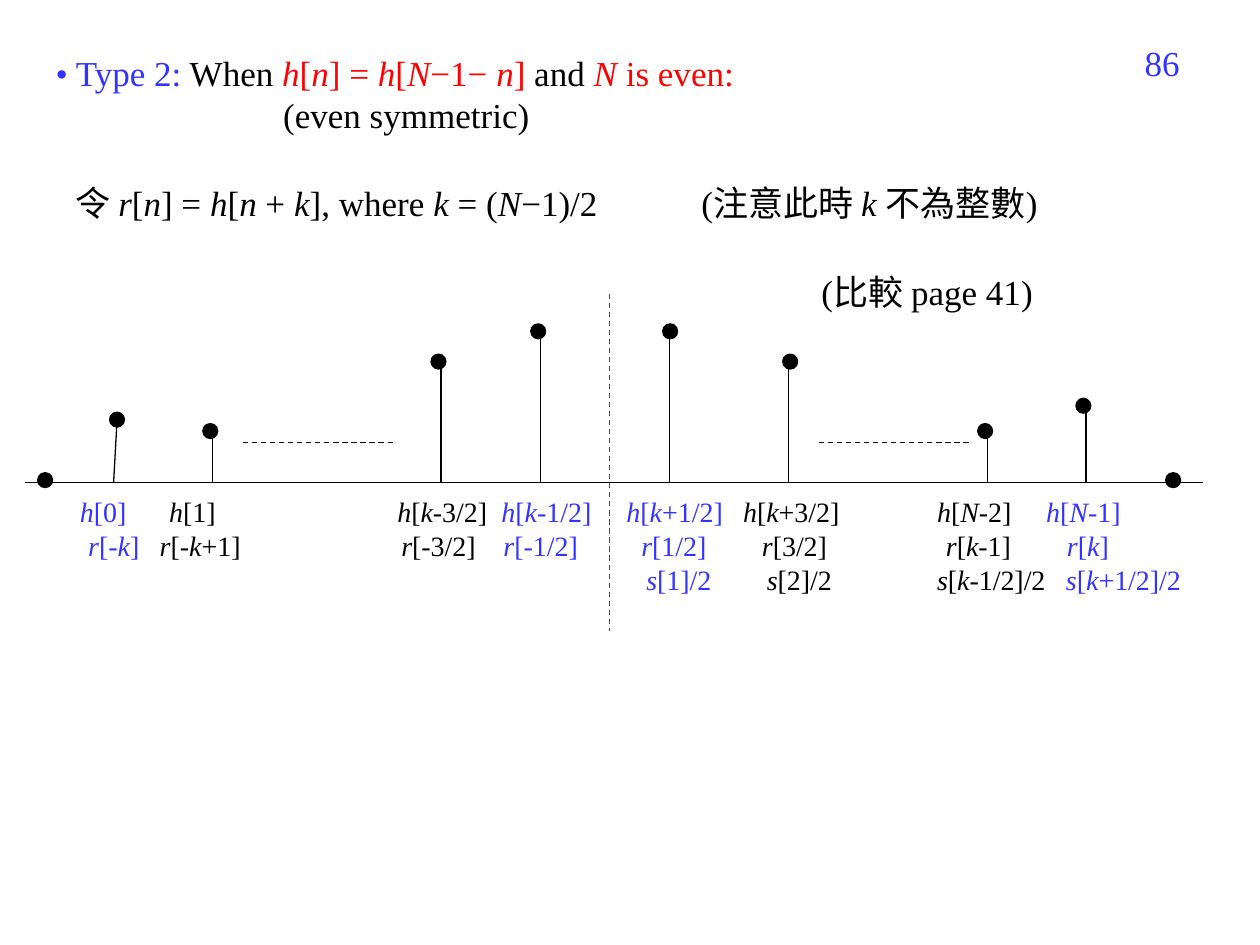
from dataclasses import dataclass

from lxml.etree import SubElement
from pptx import Presentation
from pptx.dml.color import RGBColor
from pptx.enum.dml import MSO_LINE_DASH_STYLE as Dash
from pptx.enum.shapes import MSO_CONNECTOR as Connector
from pptx.enum.shapes import MSO_SHAPE as Shape
from pptx.enum.text import MSO_ANCHOR as Anchor
from pptx.enum.text import PP_ALIGN as Align
from pptx.oxml.ns import qn
from pptx.util import Cm, Pt


@dataclass(frozen=True)
class Theme:
    font: str = "Times New Roman"
    black: RGBColor = RGBColor(0, 0, 0)
    blue: RGBColor = RGBColor(0x33, 0x33, 0xFF)
    red: RGBColor = RGBColor(0xFF, 0, 0)
    body: int = 20
    label: int = 16
    line: float = 0.75


THEME = Theme()


def write(paragraph, text, color=THEME.black, size=THEME.body):
    for position, part in enumerate(text.split("*")):
        if part:
            run = paragraph.add_run()
            run.text = part
            run.font.name = THEME.font
            run.font.size = Pt(size)
            run.font.italic = position % 2 == 1
            run.font.color.rgb = color


def set_indent(paragraph, margin=0, first=0):
    properties = paragraph._p.get_or_add_pPr()
    properties.set("marL", str(Cm(margin)))
    properties.set("indent", str(Cm(first)))


class Board:
    def __init__(self, slide, theme):
        self.slide = slide
        self.theme = theme

    def text(self, left, top, width, height, anchor=Anchor.TOP):
        box = self.slide.shapes.add_textbox(Cm(left), Cm(top), Cm(width), Cm(height))
        box.text_frame.word_wrap = True
        box.text_frame.vertical_anchor = anchor
        return box.text_frame

    def line(self, x1, y1, x2, y2, color, dashed=False):
        connector = self.slide.shapes.add_connector(
            Connector.STRAIGHT, Cm(x1), Cm(y1), Cm(x2), Cm(y2))
        stroke = connector.line
        stroke.width = Pt(self.theme.line)
        stroke.fill.solid()
        stroke.fill.fore_color.rgb = color
        if dashed:
            stroke.dash_style = Dash.DASH
        SubElement(connector._element.spPr, qn("a:effectLst"))

    def dot(self, x, y, size=0.3):
        dot = self.slide.shapes.add_shape(
            Shape.OVAL, Cm(x - size / 2), Cm(y - size / 2), Cm(size), Cm(size))
        dot.shadow.inherit = False
        dot.fill.solid()
        dot.fill.fore_color.rgb = self.theme.black
        dot.line.color.rgb = self.theme.black
        dot.line.width = Pt(self.theme.line)

    def label(self, top, rows, color):
        left = min(x for x, _ in rows)
        frame = self.text(left, top, 3.2, 1.91)
        frame.word_wrap = False
        frame.margin_left = frame.margin_right = 0
        frame.margin_top = frame.margin_bottom = 0
        for number, (x, name) in enumerate(rows):
            paragraph = frame.add_paragraph() if number else frame.paragraphs[0]
            paragraph.alignment = Align.LEFT
            set_indent(paragraph, margin=x - left)
            write(paragraph, name, color=color, size=self.theme.label)


def draw_heading(board):
    page = board.text(18.11, 0.71, 5.92, 1.32).paragraphs[0]
    page.alignment = Align.RIGHT
    write(page, "86", color=THEME.blue)

    heading = board.text(0.69, 0.91, 17.2, 1.96)
    condition = heading.paragraphs[0]
    set_indent(condition, margin=0.18)
    write(condition, "• Type 2:", color=THEME.blue)
    write(condition, " When ")
    write(condition, "*h*[*n*] = *h*[*N*−1− *n*]", color=THEME.red)
    write(condition, " and ")
    write(condition, "*N* is even:", color=THEME.red)
    symmetry = heading.add_paragraph()
    set_indent(symmetry, margin=4.77)
    write(symmetry, "(even symmetric)")

    shift = board.text(1.09, 3.53, 11.71, 1.09, Anchor.MIDDLE).paragraphs[0]
    set_indent(shift, first=0.18)
    write(shift, "令 *r*[*n*] = *h*[*n* + *k*], where *k* = (*N*−1)/2")

    write(board.text(13.89, 3.53, 8.2, 1.09).paragraphs[0], "(注意此時 *k *不為整數)")
    write(board.text(16.31, 5.33, 6.4, 1.12).paragraphs[0], "(比較 page 41)")


def draw_response(board):
    axis_y = 9.73
    board.line(0.51, axis_y, 24.26, axis_y, THEME.black)
    for start in (4.9, 16.51):
        board.line(start, 8.92, start + 3.07, 8.92, THEME.black, dashed=True)

    samples = [
        (2.36, 8.46, 2.36, 2.29), (4.24, 8.69, 4.29, 4.29),
        (8.84, 7.29, 8.89, 8.89), (10.85, 6.68, 10.9, 10.9),
        (13.51, 6.68, 13.49, 13.49), (15.93, 7.29, 15.9, 15.9),
        (19.86, 8.69, 19.91, 19.91), (21.84, 8.18, 21.89, 21.89),
    ]
    for dot_x, dot_y, stem_x, foot_x in samples:
        board.line(stem_x, dot_y, foot_x, axis_y, THEME.black)
        board.dot(dot_x, dot_y)
    for zero_x in (0.91, 23.65):
        board.dot(zero_x, 9.68)


def draw_labels(board):
    labels = [
        (THEME.blue, [(1.61, "*h*[0]"), (1.78, "*r*[-*k*]")]),
        (THEME.black, [(3.41, "*h*[1]"), (3.22, "*r*[-*k*+1]")]),
        (THEME.black, [(8.01, "*h*[*k*-3/2]"), (8.09, "*r*[-3/2]")]),
        (THEME.blue, [(10.11, "*h*[*k*-1/2]"), (10.15, "*r*[-1/2]")]),
        (THEME.blue, [(12.63, "*h*[*k*+1/2]"), (12.93, "*r*[1/2]"),
                      (13.03, "*s*[1]/2")]),
        (THEME.black, [(14.98, "*h*[*k*+3/2]"), (15.36, "*r*[3/2]"),
                       (15.46, "*s*[2]/2")]),
        (THEME.black, [(18.89, "*h*[*N*-2]"), (19.07, "*r*[*k*-1]"),
                       (18.89, "*s*[*k*-1/2]/2")]),
        (THEME.blue, [(21.09, "*h*[*N*-1]"), (21.51, "*r*[*k*]"),
                      (21.49, "*s*[*k*+1/2]/2")]),
    ]
    for color, rows in labels:
        board.label(9.98, rows, color)


def main():
    deck = Presentation()
    deck.slide_width, deck.slide_height = Cm(25.4), Cm(19.05)
    board = Board(deck.slides.add_slide(deck.slide_layouts[6]), THEME)
    draw_heading(board)
    draw_response(board)
    draw_labels(board)
    board.line(12.29, 5.92, 12.29, 12.73, THEME.red, dashed=True)
    deck.save("out.pptx")


if __name__ == "__main__":
    main()
